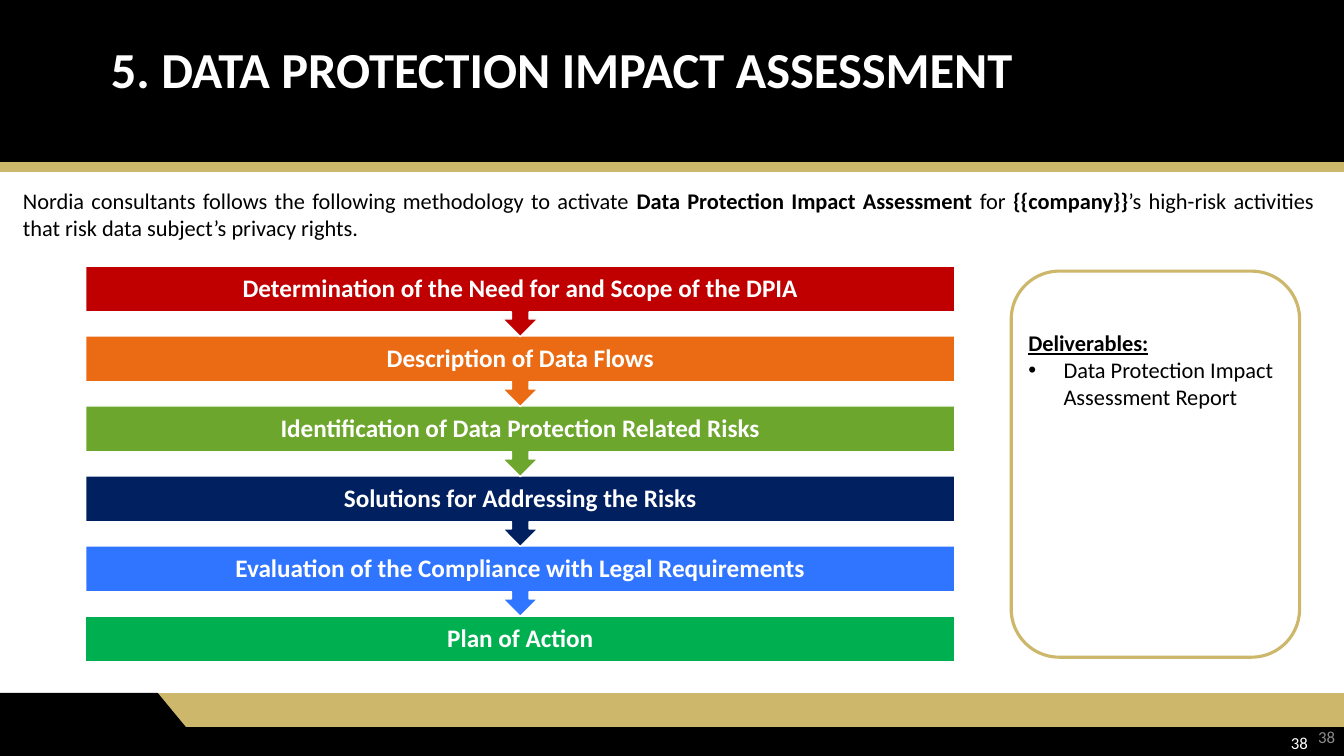
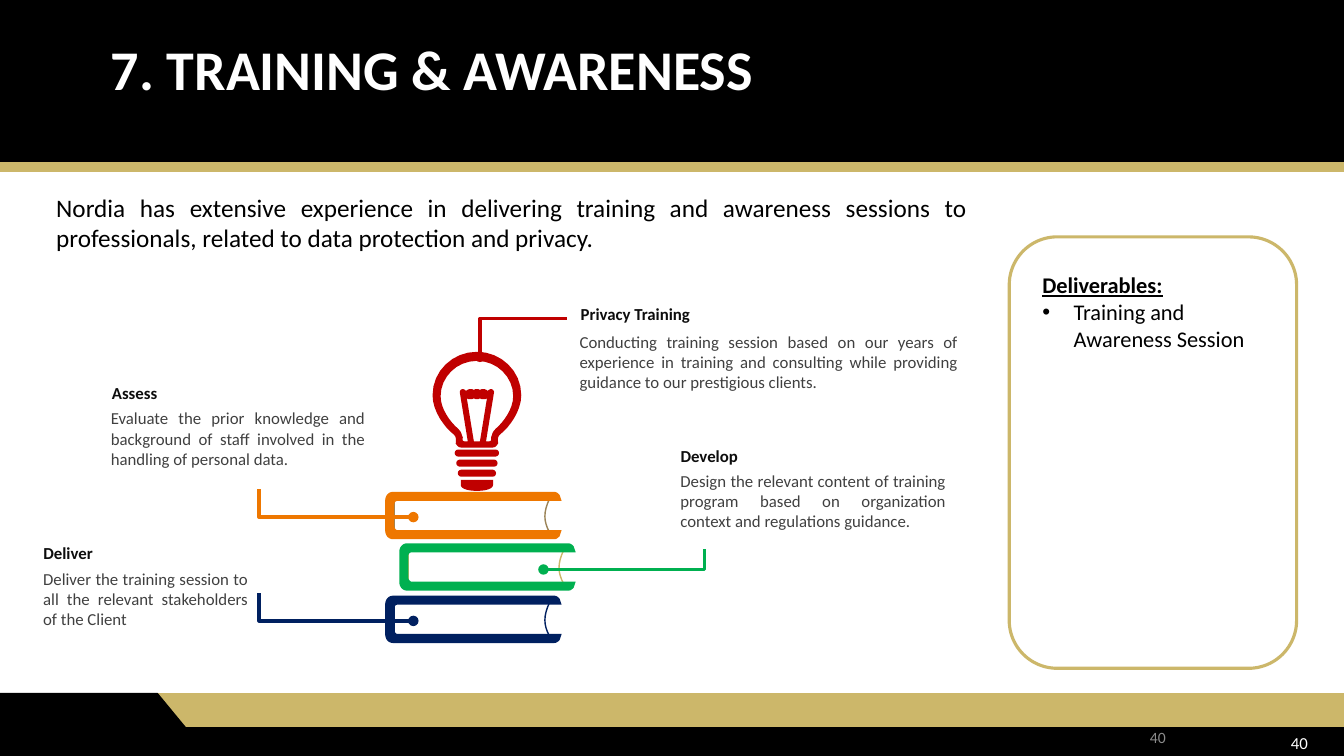
from pptx import Presentation
from pptx.dml.color import RGBColor
from pptx.enum.shapes import MSO_SHAPE as Shape
from pptx.enum.text import MSO_ANCHOR as Anchor, MSO_AUTO_SIZE as AutoSize, PP_ALIGN as Align
from pptx.oxml.ns import qn
from pptx.util import Inches, Pt
from lxml.etree import SubElement

BLACK, WHITE, GOLD = "000000", "FFFFFF", "CCB76A"
RED, ORANGE, GREEN, NAVY = "C00000", "EE7700", "00B050", "002060"
GREY, BODY, HEADING = "8C8C8C", "404040", "0D0D0D"


def draw(page, kind, geometry, fill=None, line=None, width=1, closed=True, mirror=None):
    if kind:
        shape = page.shapes.add_shape(kind, *map(Inches, geometry))
    else:
        builder = None
        for contour in geometry:
            points = [contour[0]]
            for step in contour[1:]:
                if len(step) == 2:
                    points.append(step)
                    continue
                ax, ay = points[-1]
                bx, by, cx, cy, dx, dy = step
                for t in (i / 8 for i in range(1, 9)):
                    weights = (1 - t) ** 3, 3 * t * (1 - t) ** 2, 3 * t * t * (1 - t), t ** 3
                    points.append((sum(w * x for w, x in zip(weights, (ax, bx, cx, dx))),
                                   sum(w * y for w, y in zip(weights, (ay, by, cy, dy)))))
            if mirror:
                points += [(2 * mirror - x, y) for x, y in reversed(points)]
            places = [(Inches(x), Inches(y)) for x, y in points]
            if builder:
                builder.move_to(*places[0])
            else:
                builder = page.shapes.build_freeform(*places[0])
            builder.add_line_segments(places[1:], close=closed)
        shape = builder.convert_to_shape()
    shape.shadow.inherit = False
    for paint, color in ((shape.fill, fill), (shape.line.fill, line)):
        if color:
            paint.solid()
            paint.fore_color.rgb = RGBColor.from_string(color)
        else:
            paint.background()
    if line:
        shape.line.width = Pt(width)
    return shape


def write(frame, lines, size, color, align=Align.LEFT, anchor=Anchor.TOP, **look):
    frame.word_wrap = True
    frame.auto_size = AutoSize.NONE
    frame.vertical_anchor = anchor
    for number, spans in enumerate(lines):
        para = frame.add_paragraph() if number else frame.paragraphs[0]
        para.alignment = align
        for text, changes in spans:
            span = para.add_run()
            span.text = text
            values = {"name": "Calibri", "size": Pt(size), "bold": False, **look, **changes}
            for name, value in values.items():
                setattr(span.font, name, value)
            span.font.color.rgb = RGBColor.from_string(color)
    return frame


deck = Presentation()
deck.slide_width, deck.slide_height = Inches(13.33), Inches(7.5)
layout = deck.slide_layouts[5]
for holder in list(layout.placeholders)[1:]:
    holder._element.getparent().remove(holder._element)

slides = [
    {"title": "5. DATA PROTECTION IMPACT ASSESSMENT", "title size": 36,
     "number": "38", "grey box": (11.15, 7.12, 2.19, 0.38), "grey size": 12,
     "intro box": (0.13, 1.81, 13, 0.64), "intro size": 16,
     "intro": [("Nordia consultants follows the following methodology to activate ", {}),
               ("Data Protection Impact Assessment", {"bold": True}),
               (" for ", {}),
               ("{{company}}", {"bold": True}),
               ("’s high-risk activities that risk data subject’s privacy rights.", {})],
     "panel": (10.03, 2.69, 2.86, 3.83), "panel text": (10.1, 3.22, 2.79, 0.91),
     "deliverable": "Data Protection Impact Assessment Report", "indent": 0.35},
    {"title": "7. TRAINING & AWARENESS", "title size": 40,
     "number": "40", "grey box": (9.47, 7.13, 2.19, 0.37), "grey size": 11.2,
     "intro box": (0.46, 1.86, 9.23, 0.71), "intro size": 18,
     "intro": [("Nordia has extensive experience in delivering training and awareness sessions to "
                "professionals, related to data protection and privacy.", {})],
     "panel": (10.01, 2.35, 2.85, 4.28), "panel text": (10.24, 2.64, 2.47, 0.91),
     "deliverable": "Training and Awareness Session", "indent": 0.31},
]

pages = [deck.slides.add_slide(layout) for _ in slides]

corner = [(-0.02, 6.88), (1.56, 6.88), (1.84, 7.22), (13.33, 7.22), (13.33, 7.5), (-0.02, 7.5)]
bands = [
    draw(pages[0], Shape.FLOWCHART_PROCESS, (-0.02, 6.88, 13.35, 0.45), GOLD),
    draw(pages[0], Shape.RECTANGLE, (-0.02, 0, 13.35, 1.66), BLACK),
    draw(pages[0], None, [corner], BLACK, BLACK),
    draw(pages[0], Shape.FLOWCHART_PROCESS, (-0.02, 1.61, 13.35, 0.1), GOLD),
]
for position, band in enumerate(bands, 2):
    layout.shapes._spTree.insert(position, band._element)

for page, content in zip(pages, slides):
    title = page.shapes.title
    place = {"left": 0, "top": -0.17, "width": 13.35, "height": 1.78}
    for name, value in place.items():
        setattr(title, name, Inches(value))
    frame = write(title.text_frame, [[(content["title"], {})]], content["title size"], WHITE,
                  anchor=Anchor.MIDDLE, bold=True)
    frame.margin_left = Inches(1.1)
    frame.paragraphs[0].line_spacing = 0.9

    numbers = [((10.07, 7.17, 3, 0.4), 12, WHITE), (content["grey box"], content["grey size"], GREY)]
    for box, size, color in numbers:
        write(page.shapes.add_textbox(*map(Inches, box)).text_frame, [[(content["number"], {})]],
              size, color, Align.RIGHT, Anchor.MIDDLE)

    write(page.shapes.add_textbox(*map(Inches, content["intro box"])).text_frame,
          [content["intro"]], content["intro size"], BLACK, Align.JUSTIFY)

    draw(page, Shape.ROUNDED_RECTANGLE, content["panel"], None, GOLD, 2.25)
    frame = write(page.shapes.add_textbox(*map(Inches, content["panel text"])).text_frame,
                  [[("Deliverables:", {"bold": True, "underline": True})],
                   [(content["deliverable"], {})]], 16, BLACK)
    bullet = frame.paragraphs[1]._p.get_or_add_pPr()
    bullet.set("marL", str(Inches(content["indent"])))
    bullet.set("indent", str(-Inches(content["indent"])))
    SubElement(bullet, qn("a:buFont"), typeface="Arial")
    SubElement(bullet, qn("a:buChar"), char="•")

method, training = pages

steps = [
    ("Determination of the Need for and Scope of the DPIA", RED),
    ("Description of Data Flows", "EA6B14"),
    ("Identification of Data Protection Related Risks", "6CA62C"),
    ("Solutions for Addressing the Risks", NAVY),
    ("Evaluation of the Compliance with Legal Requirements", "3075FF"),
    ("Plan of Action", GREEN),
]
for row, (text, color) in reversed(list(enumerate(steps))):
    last = row == len(steps) - 1
    kind, height = (Shape.RECTANGLE, 0.46) if last else (Shape.DOWN_ARROW_CALLOUT, 0.7)
    step = draw(method, kind, (0.85, 2.64 + row * 3.47 / 5, 8.62, height), color, WHITE)
    frame = write(step.text_frame, [[(text, {})]], 18, WHITE, Align.CENTER, Anchor.MIDDLE, bold=True)
    frame.paragraphs[0].line_spacing = 0.9

paper = [(0.09, 0.07), (1.63, 0.07), (1.57, 0.2, 1.57, 0.29, 1.63, 0.4), (0.09, 0.4)]
cover = [(0.08, 0), (1.67, 0), (1.7, 0, 1.71, 0.01, 1.73, 0.03), (1.75, 0.09), (0.12, 0.09),
         (0.11, 0.09, 0.09, 0.1, 0.09, 0.13), (0.09, 0.34), (0.09, 0.36, 0.11, 0.38, 0.12, 0.38),
         (1.75, 0.38), (1.73, 0.44), (1.71, 0.46, 1.7, 0.47, 1.67, 0.47), (0.08, 0.47),
         (0.03, 0.47, 0, 0.43, 0, 0.38), (0, 0.09), (0, 0.04, 0.03, 0, 0.08, 0)]
books = [(3.82, 4.88, ORANGE, "9B8357"), (3.96, 5.39, GREEN, GOLD), (3.82, 5.91, NAVY, NAVY)]
for left, top, color, edge in books:
    for outline, fill, line in ((paper, WHITE, edge), (cover, color, None)):
        moved = [tuple(value + (top if i % 2 else left) for i, value in enumerate(step))
                 for step in outline]
        draw(training, None, [moved], fill, line)

leaders = [
    ([(4.1, 5.13), (2.57, 5.13), (2.57, 4.85)], ORANGE),
    ([(4.1, 6.16), (2.57, 6.16), (2.57, 5.88)], NAVY),
    ([(5.39, 5.65), (6.99, 5.65), (6.99, 5.45)], GREEN),
    ([(4.76, 3.54), (4.76, 3.16), (5.62, 3.16)], RED),
]
for route, color in leaders:
    leader = draw(training, None, [route], None, color, 2.5, closed=False)
    SubElement(leader.line._get_or_add_ln(), qn("a:headEnd"), type="oval")

axis = 4.73
glass = [(axis, 3.49), (4.49, 3.49, 4.29, 3.68, 4.29, 3.92), (4.29, 4.08, 4.41, 4.24, 4.5, 4.31),
         (4.53, 4.34, 4.52, 4.36, 4.52, 4.4), (4.54, 4.43, 4.55, 4.44, 4.58, 4.44), (axis, 4.44)]
hollow = [(axis, 3.58), (4.53, 3.58, 4.37, 3.74, 4.37, 3.93), (4.37, 4.06, 4.47, 4.19, 4.54, 4.25),
          (4.58, 4.29, 4.57, 4.29, 4.59, 4.34), (4.59, 4.37, 4.58, 4.37, 4.61, 4.38), (4.64, 4.38),
          (4.56, 3.89), (4.56, 3.88, 4.57, 3.86, 4.59, 3.86), (4.6, 3.86, 4.62, 3.87, 4.62, 3.88),
          (4.63, 3.87, 4.65, 3.86, 4.66, 3.86), (4.68, 3.86, 4.69, 3.86, 4.7, 3.87),
          (4.71, 3.86, 4.72, 3.86, axis, 3.86)]
filament = [(axis, 3.96), (4.72, 3.96, 4.71, 3.96, 4.7, 3.95), (4.69, 3.96, 4.68, 3.96, 4.66, 3.96),
            (4.65, 3.96, 4.64, 3.96, 4.63, 3.95), (4.7, 4.38), (axis, 4.38)]
foot = [(axis, 4.76), (4.57, 4.76), (4.57, 4.81), (4.57, 4.85, 4.64, 4.87, axis, 4.87)]
for contours in ([glass, hollow, filament], [foot]):
    draw(training, None, contours, RED, mirror=axis)
for row, width in enumerate((0.44, 0.41, 0.38)):
    rib = draw(training, Shape.ROUNDED_RECTANGLE,
               (axis - width / 2, 4.46 + row * 0.1, width, 0.07), RED)
    rib.adjustments[0] = 0.5

notes = [
    ("Develop", (6.64, 4.37, 3.21, 0.3), (6.65, 4.62, 2.83, 0.71),
     "Design the relevant content of training program based on organization context and "
     "regulations guidance."),
    ("Deliver", (0.32, 5.34, 2.66, 0.3), (0.33, 5.59, 2.23, 0.71),
     "Deliver the training session to all the relevant stakeholders of the Client"),
    ("Assess", (1, 3.75, 2.74, 0.3), (1, 4, 2.72, 0.71),
     "Evaluate the prior knowledge and background of staff involved in the handling of "
     "personal data."),
    ("Privacy Training", (5.65, 2.96, 4.03, 0.3), (5.65, 3.24, 3.95, 0.71),
     "Conducting training session based on our years of experience in training and consulting "
     "while providing guidance to our prestigious clients."),
]
for heading, heading_box, body_box, body in notes:
    frame = write(training.shapes.add_textbox(*map(Inches, heading_box)).text_frame,
                  [[(heading, {})]], 12, HEADING, bold=True)
    frame.margin_left = Inches(0.11)
    write(training.shapes.add_textbox(*map(Inches, body_box)).text_frame,
          [[(body, {})]], 12, BODY, Align.JUSTIFY)

deck.save("out.pptx")
